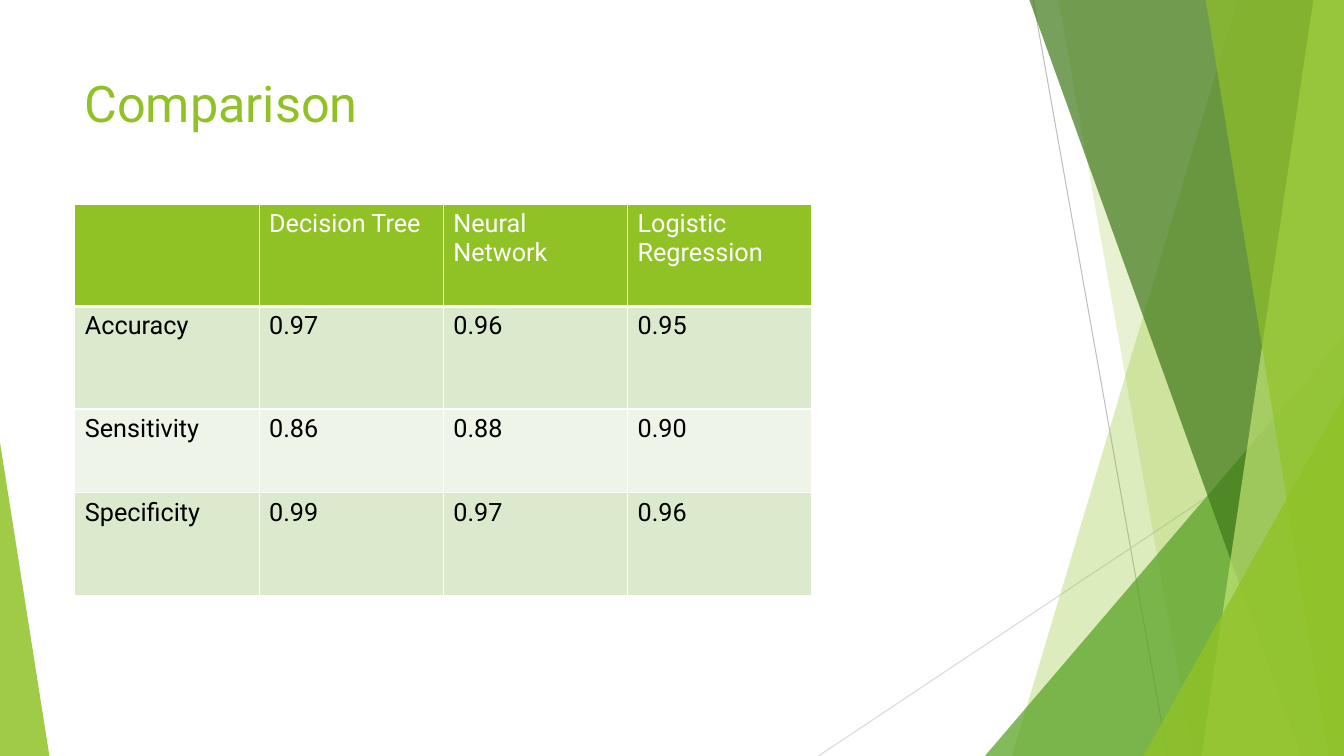
from dataclasses import dataclass

from lxml.etree import SubElement
from pptx import Presentation
from pptx.dml.color import RGBColor
from pptx.enum.shapes import MSO_CONNECTOR, MSO_SHAPE
from pptx.enum.text import MSO_ANCHOR
from pptx.oxml.ns import qn
from pptx.util import Pt


@dataclass(frozen=True)
class Theme:
    font: str = "Roboto"
    title_size: int = 36
    table_size: int = 18
    accent: str = "90C226"
    green: str = "54A021"
    dark: str = "3F7819"
    lime: str = "C0E474"
    band: str = "DBE9CD"
    pale: str = "EEF4E8"
    white: str = "FFFFFF"
    black: str = "000000"
    grey: str = "BFBFBF"
    light_grey: str = "D9D9D9"


THEME = Theme()
WIDTH, HEIGHT = 960, 540

ROWS = [
    ["", "Decision Tree", "Neural Network", "Logistic Regression"],
    ["Accuracy", "0.97", "0.96", "0.95"],
    ["Sensitivity", "0.86", "0.88", "0.90"],
    ["Specificity", "0.99", "0.97", "0.96"],
]


def rgb(color):
    return RGBColor.from_string(color)


def add_text(tf, text, size, color):
    r = tf.paragraphs[0].add_run()
    r.text = text
    font = {"name": THEME.font, "size": Pt(size), "bold": False}
    for name, value in font.items():
        setattr(r.font, name, value)
    r.font.color.rgb = rgb(color)


def paint(sp, color, opacity):
    """Fill a shape with a see-through colour and no outline."""
    sp.shadow.inherit = False
    sp.line.fill.background()
    sp.fill.solid()
    sp.fill.fore_color.rgb = rgb(color)
    clr = sp.fill._xPr.find(qn("a:solidFill"))[0]
    SubElement(clr, qn("a:alpha"), val=str(opacity * 1000))


def add_line(s, start, end, color):
    ln = s.shapes.add_connector(MSO_CONNECTOR.STRAIGHT, *map(Pt, start + end))
    ln.line.color.rgb = rgb(color)
    ln.line.width = Pt(0.75)
    SubElement(ln._element.spPr, qn("a:effectLst"))


def add_band(s, top_x, bottom_x, color, opacity):
    """Full-height area from a slanted edge to the right side of the slide."""
    top = Pt(-0.6)
    fb = s.shapes.build_freeform(Pt(top_x), top)
    fb.add_line_segments([(Pt(WIDTH), top), (Pt(WIDTH), Pt(HEIGHT)),
                          (Pt(bottom_x), Pt(HEIGHT))], close=True)
    paint(fb.convert_to_shape(), color, opacity)


def add_triangle(s, left, top, width, apex, color, opacity):
    """Triangle standing on the bottom edge of the slide."""
    sp = s.shapes.add_shape(MSO_SHAPE.ISOSCELES_TRIANGLE, Pt(left), Pt(top),
                            Pt(width), Pt(HEIGHT - top))
    sp.adjustments[0] = apex
    paint(sp, color, opacity)


def add_title(s, text):
    tf = s.shapes.add_textbox(Pt(53.3), Pt(48), Pt(676.8), Pt(104)).text_frame
    for name, value in {"word_wrap": True,
                        "vertical_anchor": MSO_ANCHOR.TOP}.items():
        setattr(tf, name, value)
    add_text(tf, text, THEME.title_size, THEME.accent)


def set_borders(cell, bottom):
    tcPr = cell._tc.get_or_add_tcPr()
    for side, width in {"L": 1, "R": 1, "T": 1, "B": bottom}.items():
        ln = SubElement(tcPr, qn(f"a:ln{side}"), w=str(Pt(width)))
        fill = SubElement(ln, qn("a:solidFill"))
        SubElement(fill, qn("a:srgbClr"), val=THEME.white)


def add_table(s, rows, heights, col_width):
    cols = len(rows[0])
    table = s.shapes.add_table(len(rows), cols, Pt(53.5), Pt(145.7),
                               Pt(col_width * cols), Pt(sum(heights))).table
    for col in table.columns:
        col.width = Pt(col_width)
    for i, (values, height) in enumerate(zip(rows, heights)):
        table.rows[i].height = Pt(height)
        header = i == 0
        fill = THEME.accent if header else (THEME.pale, THEME.band)[i % 2]
        color = THEME.white if header else THEME.black
        for cell, value in zip(table.rows[i].cells, values):
            set_borders(cell, bottom=3 if header else 1)
            cell.fill.solid()
            cell.fill.fore_color.rgb = rgb(fill)
            if value:
                add_text(cell.text_frame, value, THEME.table_size, color)


def add_backdrop(s):
    # Thin crossing lines
    add_line(s, (738, 0), (834, HEIGHT), THEME.grey)
    add_line(s, (WIDTH, 290), (584.6, HEIGHT), THEME.light_grey)
    # Overlapping facets on the right
    add_band(s, 884.2, 722.9, THEME.accent, 30)
    add_band(s, 756, 852, THEME.accent, 20)
    add_triangle(s, 703.5, 240, 256.5, 1, THEME.green, 72)
    add_band(s, 735.1, 929.5, THEME.dark, 70)
    add_band(s, 938.2, 858.2, THEME.lime, 70)
    add_band(s, 861.1, 949, THEME.accent, 65)
    add_triangle(s, 816.7, 283, 143.3, 1, THEME.accent, 80)
    # Wedge on the left
    add_triangle(s, 0, 316, 35.3, 0, THEME.accent, 85)


def main():
    prs = Presentation()
    prs.slide_width, prs.slide_height = Pt(WIDTH), Pt(HEIGHT)
    s = prs.slides.add_slide(prs.slide_layouts[6])
    add_backdrop(s)
    add_title(s, "Comparison")
    add_table(s, ROWS, heights=[73.2, 73.2, 60, 73.2], col_width=131.6)
    prs.save("out.pptx")


if __name__ == "__main__":
    main()
